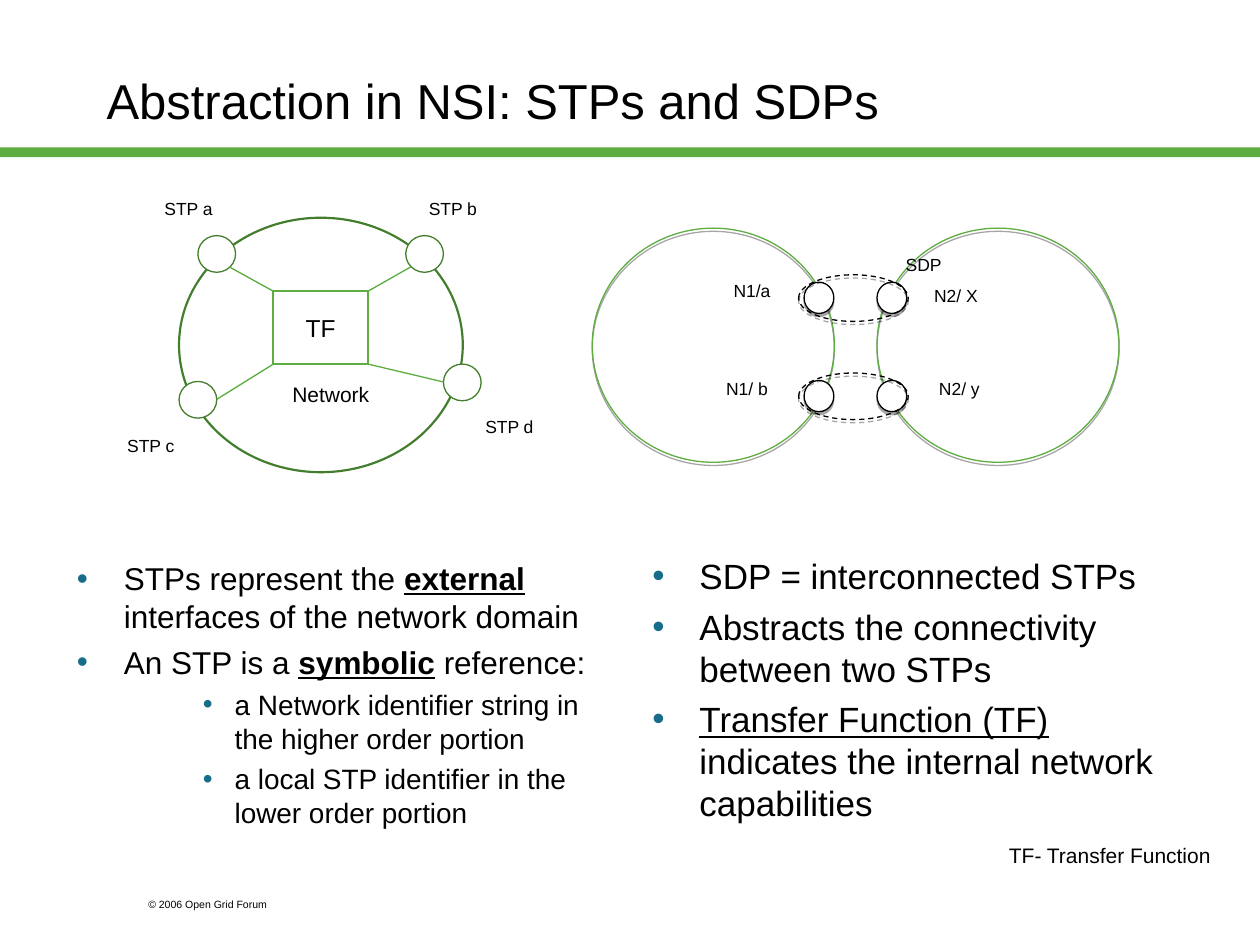
from lxml import etree
from pptx import Presentation, util as u
from pptx.dml.color import RGBColor
from pptx.enum import dml, shapes, text
from pptx.oxml.ns import qn

COLORS = {
    "black": "000000", "white": "FFFFFF", "bar": "5DAD41",
    "network": "427E2D", "link": "59AC3D", "bullet": "176D89",
}
BODY = {"marL": 0.95, "indent": -0.95}
SUB = {"marL": 3.18, "indent": -0.64}
STRONG = {"bold": True, "underline": True}


def rgb(name):
    return RGBColor.from_string(COLORS[name])


class SlideBuilder:
    def __init__(self, s, font="Arial"):
        self.s = s
        self.font = font

    def runs(self, p, parts, size):
        """Add runs; each part is a string or a (string, format dict) pair."""
        for part in parts:
            words, extra = (part, {}) if isinstance(part, str) else part
            r = p.add_run()
            r.text = words
            style = {"name": self.font, "size": u.Pt(size), **extra}
            for key, value in style.items():
                setattr(r.font, key, value)
            r.font.color.rgb = rgb("black")

    def frame(self, x, y, w, h, anchor="TOP"):
        tf = self.s.shapes.add_textbox(*map(u.Cm, (x, y, w, h))).text_frame
        tf.word_wrap = True
        tf.vertical_anchor = getattr(text.MSO_ANCHOR, anchor)
        return tf

    def text(self, x, y, w, h, words, size, anchor="TOP", align="LEFT"):
        p = self.frame(x, y, w, h, anchor).paragraphs[0]
        p.alignment = getattr(text.PP_ALIGN, align)
        self.runs(p, [words], size)

    def label(self, cx, cy, words, size=10):
        w, h = 3, 1
        self.text(cx - w / 2, cy - h / 2, w, h, words, size, "MIDDLE", "CENTER")

    def bullets(self, x, y, w, h, items):
        """Each item is (indents, size, space before, runs)."""
        tf = self.frame(x, y, w, h)
        for i, (indents, size, before, parts) in enumerate(items):
            p = tf.add_paragraph() if i else tf.paragraphs[0]
            pPr = p._p.get_or_add_pPr()
            for key, value in indents.items():
                pPr.set(key, str(u.Cm(value)))
            color = etree.SubElement(pPr, qn("a:buClr"))
            etree.SubElement(color, qn("a:srgbClr"), val=COLORS["bullet"])
            etree.SubElement(pPr, qn("a:buFont"), typeface=self.font)
            etree.SubElement(pPr, qn("a:buChar"), char="•")
            if i:
                p.space_before = u.Pt(before)
            self.runs(p, parts, size)

    def shape(self, kind, x, y, w, h, fill=None, line=None, width=0.75,
              dash=False, shadow=False):
        sp = self.s.shapes.add_shape(
            getattr(shapes.MSO_SHAPE, kind), *map(u.Cm, (x, y, w, h)))
        sp.shadow.inherit = False
        if fill:
            sp.fill.solid()
            sp.fill.fore_color.rgb = rgb(fill)
        else:
            sp.fill.background()
        if line:
            sp.line.color.rgb = rgb(line)
            sp.line.width = u.Pt(width)
        else:
            sp.line.fill.background()
        if dash:
            sp.line.dash_style = dml.MSO_LINE.DASH
        if shadow:
            effects = sp._element.spPr.find(qn("a:effectLst"))
            outer = etree.SubElement(
                effects, qn("a:outerShdw"), blurRad="0",
                dist=str(u.Pt(1.8)), dir="5400000", rotWithShape="0")
            color = etree.SubElement(outer, qn("a:srgbClr"), val=COLORS["black"])
            etree.SubElement(color, qn("a:alpha"), val="35000")
        return sp

    def line(self, x1, y1, x2, y2, color):
        c = self.s.shapes.add_connector(
            shapes.MSO_CONNECTOR.STRAIGHT, *map(u.Cm, (x1, y1, x2, y2)))
        c.line.color.rgb = rgb(color)
        c.line.width = u.Pt(0.75)
        etree.SubElement(c._element.spPr, qn("a:effectLst"))


def draw_network(b):
    b.shape("OVAL", 3.61, 4.39, 5.72, 5.13, line="network", width=1.25)
    b.label(6.67, 7.95, "Network", 12)
    box = b.shape("RECTANGLE", 5.51, 5.87, 1.91, 1.47, line="bar", width=1)
    p = box.text_frame.paragraphs[0]
    p.alignment = text.PP_ALIGN.CENTER
    b.runs(p, ["TF"], 14)

    # label, its centre, centre of the circle
    stps = [
        ("STP a", 3.8, 4.2, 4.37, 5.12),
        ("STP b", 9.13, 4.2, 8.56, 5.12),
        ("STP c", 3.04, 8.98, 3.99, 8.06),
        ("STP d", 10.27, 8.6, 9.32, 7.71),
    ]
    w, h = 0.76, 0.74
    for name, lx, ly, cx, cy in stps:
        b.shape("OVAL", cx - w / 2, cy - h / 2, w, h, "white", "network")
        b.label(lx, ly, name)
    for ends in [(5.51, 5.87, 4.62, 5.38), (5.51, 7.34, 4.37, 8.05),
                 (8.28, 5.38, 7.42, 5.87)]:
        b.line(*ends, "link")
    b.line(8.94, 7.7, 7.42, 7.34, "bar")


def draw_interconnection(b):
    for x in (11.94, 17.68):
        b.shape("OVAL", x, 4.6, 4.88, 4.72, line="bar", shadow=True)
    for y in (5.54, 7.52):
        for x in (16.21, 17.68):
            b.shape("OVAL", x, y + 0.15, 0.6, 0.63, "white", "black", shadow=True)
        b.shape("OVAL", 16.1, y, 2.21, 0.94, line="black", dash=True, shadow=True)
    for cx, cy, name in [(15.16, 5.85, "N1/a"), (15.06, 7.84, "N1/ b"),
                         (19.27, 5.96, "N2/ X"), (19.34, 7.84, "N2/ y"),
                         (18.62, 5.33, "SDP")]:
        b.label(cx, cy, name)


def main():
    prs = Presentation()
    prs.slide_width, prs.slide_height = u.Cm(25.4), u.Cm(19.05)
    b = SlideBuilder(prs.slides.add_slide(prs.slide_layouts[6]))

    b.shape("RECTANGLE", 0, 2.97, 25.4, 0.2, "bar")
    b.text(2.74, 17.98, 3.81, 0.51, "© 2006 Open Grid Forum", 6)
    b.text(1.9, 0.43, 21.59, 3.18, "Abstraction in NSI: STPs and SDPs", 28, "MIDDLE")
    b.bullets(1.3, 11.15, 11.23, 7.9, [
        (BODY, 18, 4.5, ["STPs represent the ", ("external ", STRONG),
                         "interfaces of the network domain"]),
        (BODY, 18, 4.5, ["An STP is a ", ("symbolic", STRONG), " reference:"]),
        (SUB, 16, 4, ["a Network identifier string in the higher order portion"]),
        (SUB, 16, 4, ["a local STP identifier in the lower order portion"]),
    ])
    b.bullets(12.9, 11.05, 11.23, 6.48, [
        (BODY, 20, 5, ["SDP = interconnected STPs"]),
        (BODY, 20, 5, ["Abstracts the connectivity between two STPs"]),
        (BODY, 20, 5, [("Transfer Function (TF)", {"underline": True}),
                       " indicates the internal network capabilities"]),
    ])
    draw_network(b)
    draw_interconnection(b)
    b.text(20.09, 16.87, 4.83, 0.76, "TF- Transfer Function", 12)
    prs.save("out.pptx")


if __name__ == "__main__":
    main()
